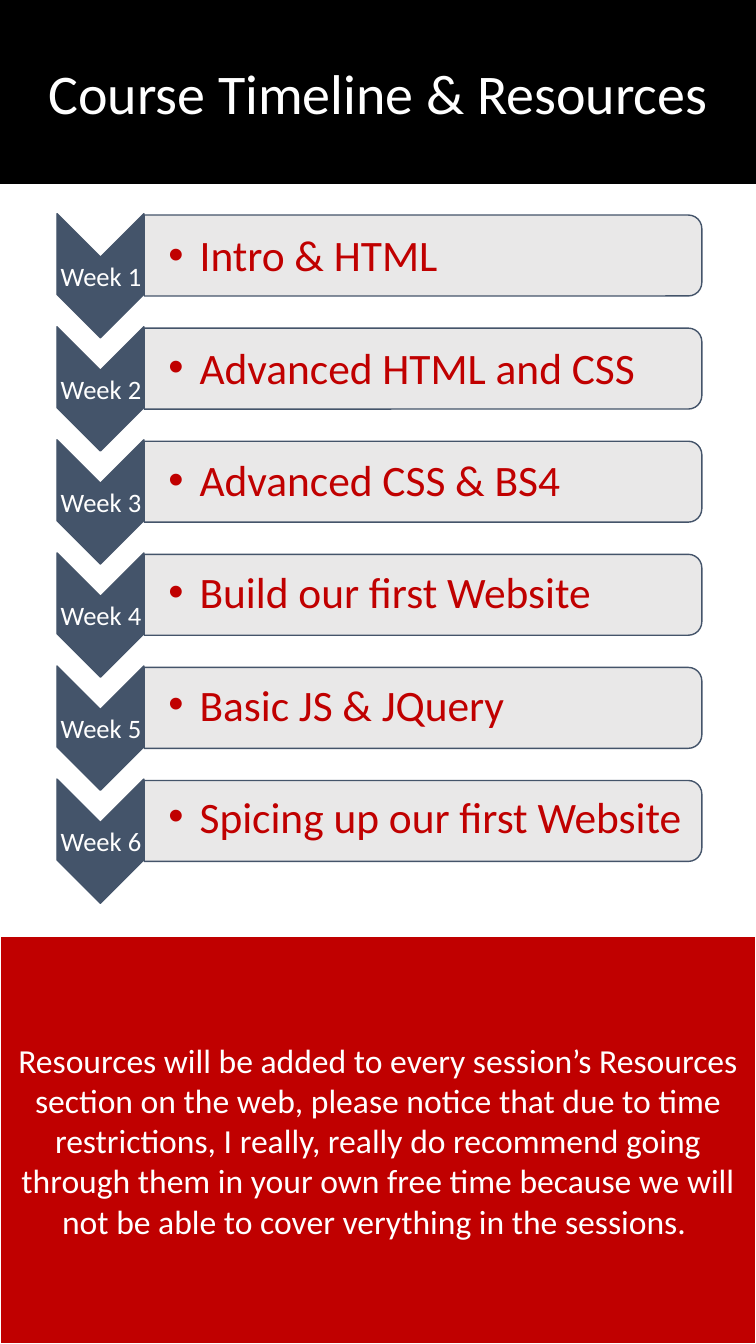
"""Build the course timeline slide."""
from dataclasses import dataclass
from typing import Any

from lxml.etree import SubElement
from pptx import Presentation
from pptx.dml.color import RGBColor
from pptx.enum.shapes import MSO_SHAPE as Preset
from pptx.enum.text import MSO_ANCHOR as Anchor, MSO_AUTO_SIZE as AutoSize, PP_ALIGN as Align
from pptx.oxml.ns import qn
from pptx.util import Cm, Pt


@dataclass(frozen=True)
class Theme:
    """Colours, typeface and type sizes of the slide."""
    black: str = "000000"
    white: str = "FFFFFF"
    slate: str = "44546A"
    grey: str = "E7E6E6"
    red: str = "C00000"
    font: str = "Calibri"
    title_size: float = 40
    topic_size: float = 31
    note_size: float = 24
    week_size: float = 19
    line_factor: float = 1.22


@dataclass(frozen=True)
class Area:
    """A rectangle in centimetres."""
    left: float
    top: float
    width: float
    height: float

    def lengths(self) -> tuple:
        """Return the rectangle as slide lengths."""
        return Cm(self.left), Cm(self.top), Cm(self.width), Cm(self.height)


@dataclass(frozen=True)
class Marker:
    """A preset shape, turned a quarter, repeated once per week."""
    preset: Any
    center_x: float
    center_y: float
    length: float
    breadth: float
    fill: str
    alpha: int = 100

    def area(self, offset: float) -> Area:
        """Return the unturned frame, moved down by an offset."""
        return Area(self.center_x - self.length / 2,
                    self.center_y - self.breadth / 2 + offset,
                    self.length, self.breadth)


THEME = Theme()
WIDTH, HEIGHT = 19.05, 33.87
PITCH = 2.85
TITLE_AREA = Area(0, 0, WIDTH, 4.62)
NOTE_AREA = Area(0, 23.6, WIDTH, 10.27)
WEEK_AREA = Area(1.43, 6.53, 2.23, 0.94)
TOPICS = ("Intro & HTML", "Advanced HTML and CSS", "Advanced CSS & BS4",
          "Build our first Website", "Basic JS & JQuery",
          "Spicing up our first Website")
TOPIC_AREA = Area(3.63, 5.76, 13.95, PITCH * len(TOPICS))
TOPIC_INDENT = 0.79
MARKERS = (
    Marker(Preset.CHEVRON, 2.53, 6.95, 3.13, 2.19, THEME.slate),
    Marker(Preset.ROUND_2_SAME_RECTANGLE, 10.66, 6.44, 2.04, 14.05, THEME.grey, 90),
)
NOTE = ("Resources will be added to every session’s Resources section on the web, "
        "please notice that due to time restrictions, I really, really do recommend "
        "going through them in your own free time because we will not be able to "
        "cover verything in the sessions. ")


def apply(target: Any, values: dict) -> None:
    """Set each named attribute on the target."""
    for name, value in values.items():
        setattr(target, name, value)


def place(shape: Any, area: Area) -> None:
    """Move and size a shape."""
    apply(shape, dict(zip(("left", "top", "width", "height"), area.lengths())))


def paint(shape: Any, fill: str, line: str, weight: float = 1) -> None:
    """Give a shape a solid fill and an outline."""
    shape.fill.solid()
    shape.fill.fore_color.rgb = RGBColor.from_string(fill)
    shape.line.color.rgb = RGBColor.from_string(line)
    shape.line.width = Pt(weight)


def write(shape: Any, lines: tuple, size: float, color: str, frame_format: dict,
          para_format: dict) -> None:
    """Fill a shape with one formatted paragraph per line."""
    frame = shape.text_frame
    apply(frame, {"word_wrap": True, "auto_size": AutoSize.NONE,
                  "vertical_anchor": Anchor.MIDDLE} | frame_format)
    for index, line in enumerate(lines):
        para = frame.add_paragraph() if index else frame.paragraphs[0]
        apply(para, {"alignment": Align.CENTER} | para_format)
        span = para.add_run()
        span.text = line
        apply(span.font, {"name": THEME.font, "size": Pt(size)})
        span.font.color.rgb = RGBColor.from_string(color)


def margins(left: float, rest: float) -> dict:
    """Return text insets, with the left one apart."""
    return {"margin_left": Cm(left), "margin_right": Cm(rest),
            "margin_top": Cm(rest), "margin_bottom": Cm(rest)}


def add_marker(page: Any, marker: Marker, offset: float) -> None:
    """Draw one turned shape of a week's row."""
    shape = page.shapes.add_shape(marker.preset, *marker.area(offset).lengths())
    shape.rotation = 90
    shape.shadow.inherit = False
    paint(shape, marker.fill, THEME.slate)
    if marker.alpha < 100:
        color = shape.element.find(".//" + qn("a:srgbClr"))
        SubElement(color, qn("a:alpha"), val=str(marker.alpha * 1000))


def add_week(page: Any, index: int) -> None:
    """Draw the chevron, bar and label of one week."""
    offset = index * PITCH
    for marker in MARKERS:
        add_marker(page, marker, offset)
    area = Area(WEEK_AREA.left, WEEK_AREA.top + offset, WEEK_AREA.width, WEEK_AREA.height)
    box = page.shapes.add_textbox(*area.lengths())
    write(box, (f"Week {index + 1}",), THEME.week_size, THEME.white,
          margins(0, 0), {"line_spacing": 0.9})


def fill_topics(body: Any) -> None:
    """Write the topics as one list whose lines match the bars."""
    place(body, TOPIC_AREA)
    gap = Cm(PITCH).pt - THEME.topic_size * THEME.line_factor
    write(body, TOPICS, THEME.topic_size, THEME.red,
          margins(0.61, 0) | {"vertical_anchor": Anchor.TOP},
          {"alignment": Align.LEFT, "line_spacing": 1.0,
           "space_before": Pt(0), "space_after": Pt(gap)})
    for para in body.text_frame.paragraphs:
        properties = para._p.get_or_add_pPr()
        properties.set("marL", str(Cm(TOPIC_INDENT)))
        properties.set("indent", str(-Cm(TOPIC_INDENT)))
    body.element.getparent().append(body.element)


def main() -> None:
    """Build and save the deck."""
    deck = Presentation()
    apply(deck, {"slide_width": Cm(WIDTH), "slide_height": Cm(HEIGHT)})
    page = deck.slides.add_slide(deck.slide_layouts[1])
    title, body = page.placeholders
    place(title, TITLE_AREA)
    paint(title, THEME.black, THEME.black)
    write(title, ("Course Timeline & Resources",), THEME.title_size, THEME.white, {}, {})
    for index in range(len(TOPICS)):
        add_week(page, index)
    fill_topics(body)
    note = page.shapes.add_shape(Preset.RECTANGLE, *NOTE_AREA.lengths())
    note.shadow.inherit = False
    paint(note, THEME.red, THEME.white, 1.5)
    write(note, (NOTE,), THEME.note_size, THEME.white, {}, {})
    deck.save("out.pptx")


if __name__ == "__main__":
    main()
